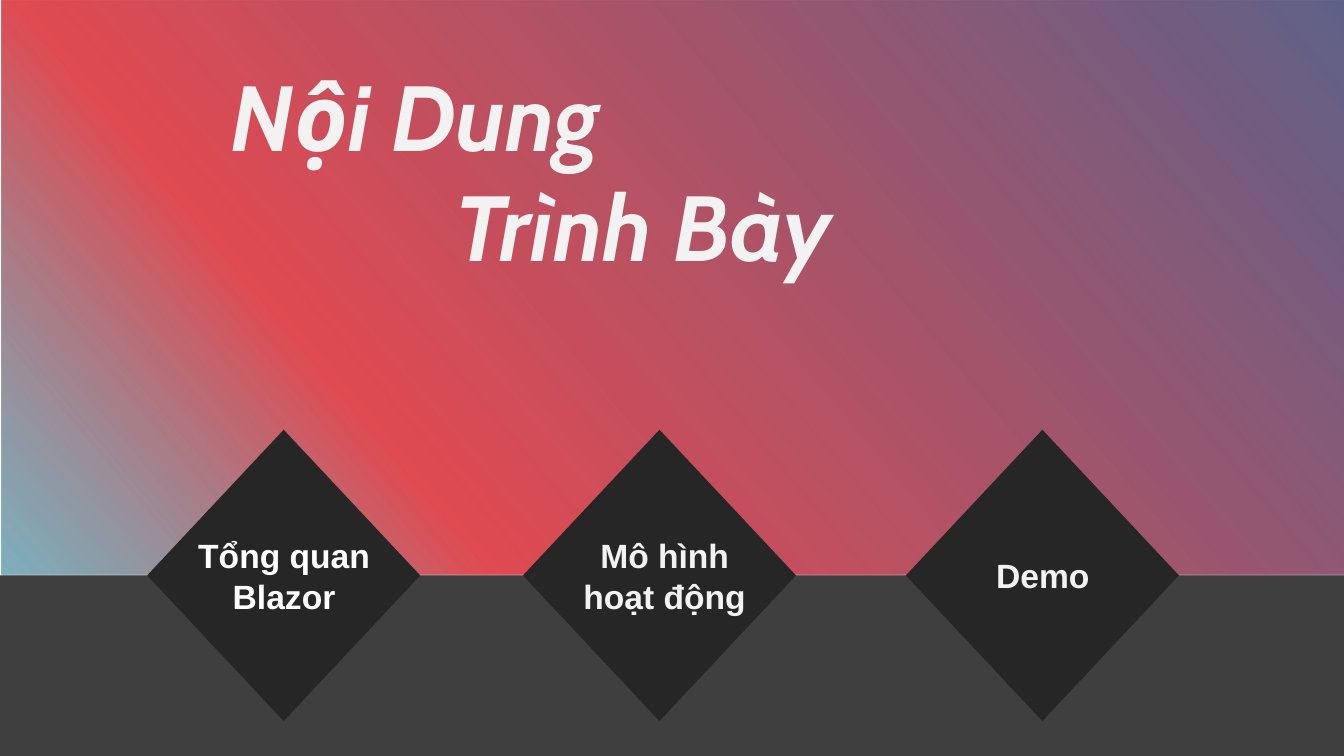
from lxml.etree import SubElement
from pptx import Presentation
from pptx.dml.color import RGBColor
from pptx.enum.shapes import MSO_SHAPE as Shape
from pptx.enum.text import MSO_ANCHOR as Anchor, MSO_AUTO_SIZE as AutoSize, PP_ALIGN as Align
from pptx.oxml.ns import qn
from pptx.util import Cm, Pt

WHITE = RGBColor(0xFF, 0xFF, 0xFF)
PALE = RGBColor(0xF2, 0xF2, 0xF2)
CHARCOAL = RGBColor(0x3F, 0x3F, 0x3F)
BLACKISH = RGBColor(0x26, 0x26, 0x26)
INDIGO = RGBColor(0x47, 0x4B, 0x78)
RED = RGBColor(0xDA, 0x1F, 0x28)
TEAL = RGBColor(0x21, 0x79, 0x8F)

SLIDE_W, SLIDE_H = 33.87, 19.05
SEAM = 14.5
DIAMOND_W, DIAMOND_H = 6.88, 7.34


class AgendaSlide:
    title_font, label_font = "Cabin", "Arial"
    title_size, label_size = Pt(66), Pt(24)

    def __init__(self, deck):
        self.slide = deck.slides.add_slide(deck.slide_layouts[5])
        self.shapes = self.slide.shapes

    def block(self, shapes, kind, left, top, width, height, color=None):
        block = shapes.add_shape(kind, Cm(left), Cm(top), Cm(width), Cm(height))
        block.shadow.inherit = False
        block.line.fill.background()
        if color is not None:
            block.fill.solid()
            block.fill.fore_color.rgb = color
        return block

    def backdrop(self, stops, angle):
        sky = self.block(self.shapes, Shape.RECTANGLE, 0.03, 0, SLIDE_W, SEAM)
        sky.fill.gradient()
        sky.fill.gradient_angle = angle
        stop_list = next(sky.element.iter(qn("a:gsLst")))
        for preset in list(stop_list):
            stop_list.remove(preset)
        for position, color, opacity in stops:
            stop = SubElement(stop_list, qn("a:gs"), pos=str(position * 1000))
            tint = SubElement(stop, qn("a:srgbClr"), val=str(color))
            SubElement(tint, qn("a:alpha"), val=str(opacity * 1000))

    def style(self, paragraph, font, size, color, align):
        paragraph.alignment = align
        paragraph.font.name = font
        paragraph.font.size = size
        paragraph.font.bold = True
        paragraph.font.color.rgb = color

    def title(self, lines):
        title = self.shapes.title
        title.left, title.top, title.width, title.height = Cm(5.56), Cm(1.35), Cm(15.65), Cm(5.89)
        frame = title.text_frame
        frame.text = "\n".join(lines)
        frame.word_wrap = True
        frame.auto_size = AutoSize.NONE
        frame.vertical_anchor = Anchor.TOP
        for paragraph, align in zip(frame.paragraphs, (Align.LEFT, Align.RIGHT)):
            self.style(paragraph, self.title_font, self.title_size, PALE, align)
            paragraph.font.italic = True
        self.shapes.element.append(title.element)

    def topic(self, text, color, diamond_left, label_left, label_width, label_height):
        group = self.shapes.add_group_shape()
        self.block(group.shapes, Shape.DIAMOND, diamond_left, SEAM - DIAMOND_H / 2,
                   DIAMOND_W, DIAMOND_H, BLACKISH)
        label = group.shapes.add_textbox(Cm(label_left), Cm(SEAM - label_height / 2),
                                         Cm(label_width), Cm(label_height))
        frame = label.text_frame
        frame.word_wrap = True
        frame.vertical_anchor = Anchor.MIDDLE
        frame.text = text
        self.style(frame.paragraphs[0], self.label_font, self.label_size, color, Align.CENTER)


def main():
    deck = Presentation()
    deck.slide_width, deck.slide_height = Cm(SLIDE_W), Cm(SLIDE_H)
    agenda = AgendaSlide(deck)
    agenda.backdrop([(0, INDIGO, 87), (73, RED, 80), (100, TEAL, 58)], 220)
    agenda.title(["Nội Dung", "Trình Bày"])
    agenda.block(agenda.shapes, Shape.RECTANGLE, 0, SEAM, SLIDE_W, SLIDE_H - SEAM, CHARCOAL)
    for topic in [
        ("Tổng quan Blazor", WHITE, 3.71, 4.34, 5.64, 2.32),
        ("Mô hình hoạt động", PALE, 13.18, 14.4, 4.7, 2.32),
        ("Demo", PALE, 22.83, 23.93, 4.7, 1.27),
    ]:
        agenda.topic(*topic)
    deck.save("out.pptx")


if __name__ == "__main__":
    main()
